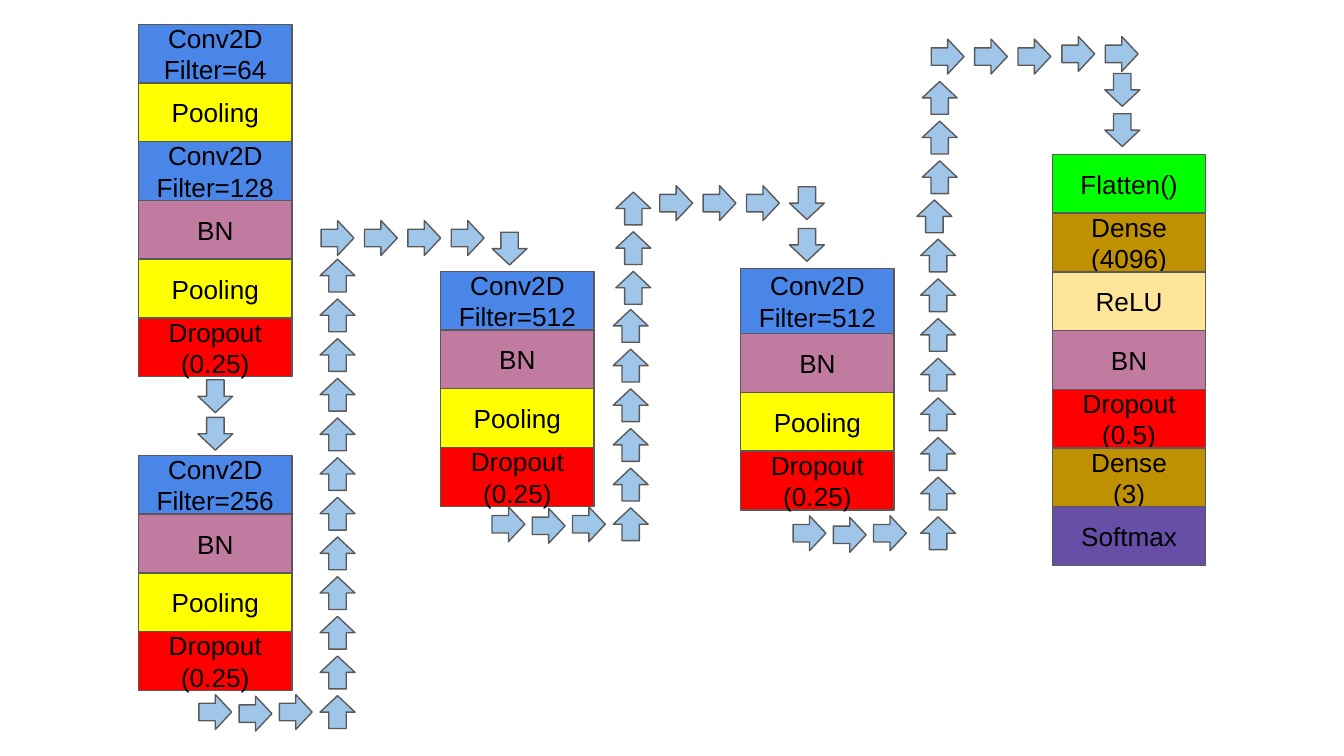
import pptx
import pptx.dml.color
import pptx.enum.shapes
import pptx.enum.text
import pptx.util

Cm = pptx.util.Cm

BLOCK_WIDTH, BLOCK_HEIGHT = 2.9, 1.11
ARROW_LENGTH, ARROW_THICKNESS = 0.62, 0.66
OUTLINE, ARROW_FILL = "595959", "9FC5E8"
LAYER_FILLS = {
    "Conv2D": "4A86E8", "Pooling": "FFFF00", "BN": "C27BA0",
    "Dropout": "FF0000", "Flatten()": "00FF00", "Dense": "BF9000",
    "ReLU": "FFE599", "Softmax": "674EA7",
}

# Direction: (rotation, horizontal step, vertical step)
DIRECTIONS = {"right": (0, 1, 0), "down": (90, 0, 1), "up": (270, 0, -1)}

# Left, top, height of the first block, layers from top to bottom
STACKS = [
    (2.62, 0.46, BLOCK_HEIGHT,
     ["Conv2D\nFilter=64", "Pooling", "Conv2D\nFilter=128", "BN", "Pooling",
      "Dropout\n(0.25)"]),
    (2.62, 8.61, BLOCK_HEIGHT,
     ["Conv2D\nFilter=256", "BN", "Pooling", "Dropout\n(0.25)"]),
    (8.33, 5.13, BLOCK_HEIGHT,
     ["Conv2D\nFilter=512", "BN", "Pooling", "Dropout\n(0.25)"]),
    (14, 5.08, 1.23,
     ["Conv2D\nFilter=512", "BN", "Pooling", "Dropout\n(0.25)"]),
    (19.89, 2.92, BLOCK_HEIGHT,
     ["Flatten()", "Dense\n(4096)", "ReLU", "BN", "Dropout\n(0.5)",
      "Dense\n(3)", "Softmax"]),
]

# Direction, left and top of the first arrow, count, pitch
ARROW_RUNS = [
    ("down", 3.76, 7.16, 2, 0.71),
    ("up", 6.07, 13.13, 12, 0.75),
    ("right", 6.07, 4.17, 4, 0.82),
    ("down", 9.32, 4.37, 1, 0),
    ("up", 11.61, 9.58, 6, 0.75),
    ("up", 11.66, 5.11, 3, 0.75),
    ("right", 12.47, 3.51, 3, 0.82),
    ("down", 14.94, 3.51, 2, 0.79),
    ("up", 17.42, 9.75, 8, 0.75),
    ("up", 17.35, 3.76, 1, 0),
    ("up", 17.45, 3.02, 3, 0.75),
    ("right", 17.6, 0.74, 3, 0.82),
    ("right", 20.07, 0.69, 2, 0.82),
    ("down", 20.9, 1.37, 2, 0.76),
]

# Left and top of the three arrows leaving the foot of a stack
STACK_EXITS = [(3.76, 13.13), (9.3, 9.58), (14.99, 9.75)]


def color(hex_code):
    return pptx.dml.color.RGBColor.from_string(hex_code)


def add_outlined(slide, preset, left, top, width, height, fill):
    figure = slide.shapes.add_shape(
        preset, Cm(left), Cm(top), Cm(width), Cm(height))
    figure.shadow.inherit = False
    figure.fill.solid()
    figure.fill.fore_color.rgb = color(fill)
    figure.line.color.rgb = color(OUTLINE)
    figure.line.width = pptx.util.Pt(0.75)
    return figure


def add_layer(slide, left, top, height, label):
    lines = label.split("\n")
    layer = add_outlined(slide, pptx.enum.shapes.MSO_SHAPE.RECTANGLE, left,
                         top, BLOCK_WIDTH, height, LAYER_FILLS[lines[0]])
    frame = layer.text_frame
    frame.word_wrap = True
    frame.vertical_anchor = pptx.enum.text.MSO_ANCHOR.MIDDLE
    frame.margin_left = frame.margin_right = Cm(0.25)
    frame.margin_top = frame.margin_bottom = Cm(0.25)
    for index, line in enumerate(lines):
        paragraph = frame.add_paragraph() if index else frame.paragraphs[0]
        paragraph.alignment = pptx.enum.text.PP_ALIGN.CENTER
        run = paragraph.add_run()
        run.text = line
        run.font.name = "Arial"
        run.font.size = pptx.util.Pt(14)
        run.font.color.rgb = color("000000")


def add_stack(slide, left, top, first_height, labels):
    height = first_height
    for label in labels:
        add_layer(slide, left, top, height, label)
        top += height
        height = BLOCK_HEIGHT


def add_arrow(slide, left, top, rotation=0):
    arrow = add_outlined(slide, pptx.enum.shapes.MSO_SHAPE.RIGHT_ARROW, left,
                         top, ARROW_LENGTH, ARROW_THICKNESS, ARROW_FILL)
    arrow.rotation = rotation


def add_arrow_run(slide, direction, left, top, count, pitch):
    rotation, step_x, step_y = DIRECTIONS[direction]
    for index in range(count):
        add_arrow(slide, left + index * pitch * step_x,
                  top + index * pitch * step_y, rotation)


def add_stack_exit(slide, left, top):
    """Three arrows to the right, the middle one slightly lower."""
    for index, dip in enumerate((0, 0.03, 0)):
        add_arrow(slide, left + index * 0.76, top + dip)


def main():
    deck = pptx.Presentation()
    deck.slide_width, deck.slide_height = Cm(25.4), Cm(14.29)
    slide = deck.slides.add_slide(deck.slide_layouts[6])
    for stack in STACKS:
        add_stack(slide, *stack)
    for arrow_run in ARROW_RUNS:
        add_arrow_run(slide, *arrow_run)
    for stack_exit in STACK_EXITS:
        add_stack_exit(slide, *stack_exit)
    deck.save("out.pptx")


if __name__ == "__main__":
    main()
